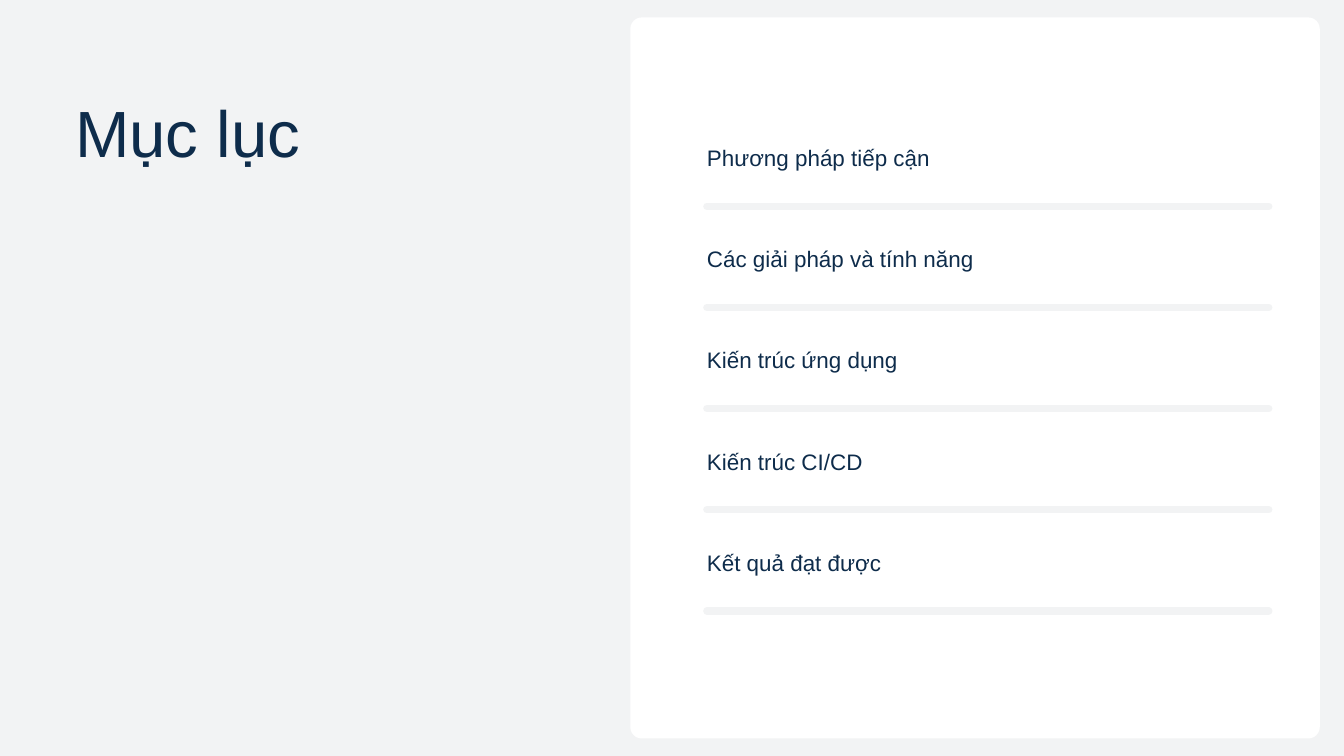
from lxml.etree import SubElement
from pptx import Presentation
from pptx.dml.color import RGBColor as RGB
from pptx.enum.shapes import MSO_CONNECTOR as Connector, MSO_SHAPE as Shape
from pptx.enum.text import MSO_AUTO_SIZE as AutoSize
from pptx.oxml.ns import qn
from pptx.util import Inches, Pt

SLIDE_W, SLIDE_H = 20, 11.25
COLORS = {"background": "F2F3F4", "panel": "FFFFFF", "ink": "0E2C4B"}
FONT = "Arial"

TITLE = "Mục lục"
TOPICS = [
    "Phương pháp tiếp cận",
    "Các giải pháp và tính năng",
    "Kiến trúc ứng dụng",
    "Kiến trúc CI/CD",
    "Kết quả đạt được",
]
TOPIC_LEFT, TOPIC_TOP = 10.52, 2.08
ROW_PITCH = 1.505
RULE_OFFSET, RULE_LENGTH = 0.99, 8.36


def color(name):
    return RGB.from_string(COLORS[name])


def add_text(slide, text, left, top, width, height, *, size, leading):
    box = slide.shapes.add_textbox(*map(Inches, (left, top, width, height)))
    frame = box.text_frame
    frame.word_wrap = True
    frame.auto_size = AutoSize.SHAPE_TO_FIT_TEXT
    frame.margin_left = frame.margin_right = 0
    frame.margin_top = frame.margin_bottom = 0
    paragraph = frame.paragraphs[0]
    paragraph.line_spacing = Pt(leading)
    run = paragraph.add_run()
    run.text = text
    run.font.name = FONT
    run.font.size = Pt(size)
    run.font.color.rgb = color("ink")


def add_panel(slide, left, top, width, height, radius):
    panel = slide.shapes.add_shape(
        Shape.ROUNDED_RECTANGLE, *map(Inches, (left, top, width, height)))
    panel.adjustments[0] = radius / min(width, height)
    panel.shadow.inherit = False
    panel.fill.solid()
    panel.fill.fore_color.rgb = color("panel")
    panel.line.fill.background()


def add_rule(slide, left, top, length):
    """Draw a horizontal divider with rounded ends."""
    rule = slide.shapes.add_connector(
        Connector.STRAIGHT, *map(Inches, (left, top, left + length, top)))
    rule.line.width = Pt(8)
    rule.line.color.rgb = color("background")
    rule.line._get_or_add_ln().set("cap", "rnd")
    SubElement(rule._element.spPr, qn("a:effectLst"))


def add_topic(slide, row, topic):
    top = TOPIC_TOP + row * ROW_PITCH
    add_rule(slide, TOPIC_LEFT, top + RULE_OFFSET, RULE_LENGTH)
    add_text(slide, topic, TOPIC_LEFT, top, 7.5, 0.43, size=24, leading=33.6)


def main():
    deck = Presentation()
    deck.slide_width, deck.slide_height = Inches(SLIDE_W), Inches(SLIDE_H)
    slide = deck.slides.add_slide(deck.slide_layouts[6])
    slide.background.fill.solid()
    slide.background.fill.fore_color.rgb = color("background")

    add_panel(slide, 9.38, 0.26, 10.26, SLIDE_H - 2 * 0.26, radius=0.17)
    for row, topic in enumerate(TOPICS):
        add_topic(slide, row, topic)
    add_text(slide, TITLE, 1.12, 1.37, 6.75, 1.17, size=70, leading=84)

    deck.save("out.pptx")


if __name__ == "__main__":
    main()
